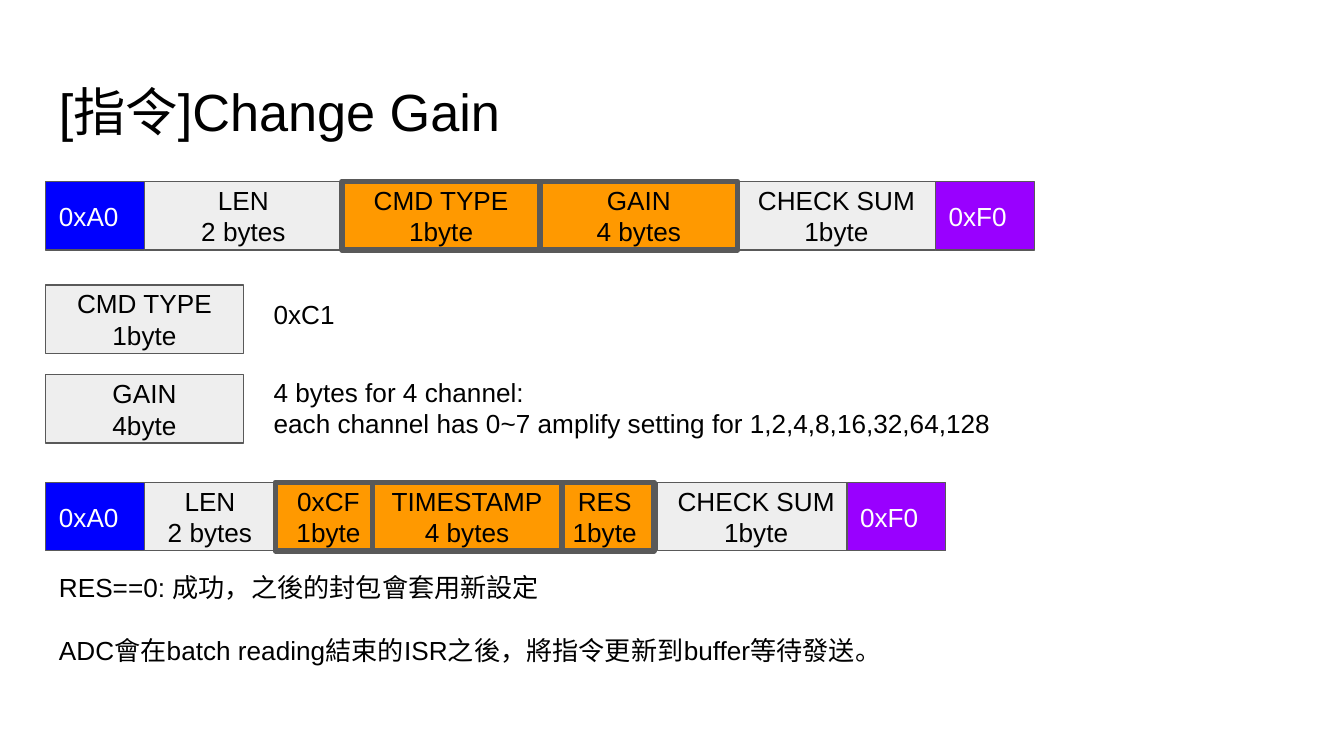
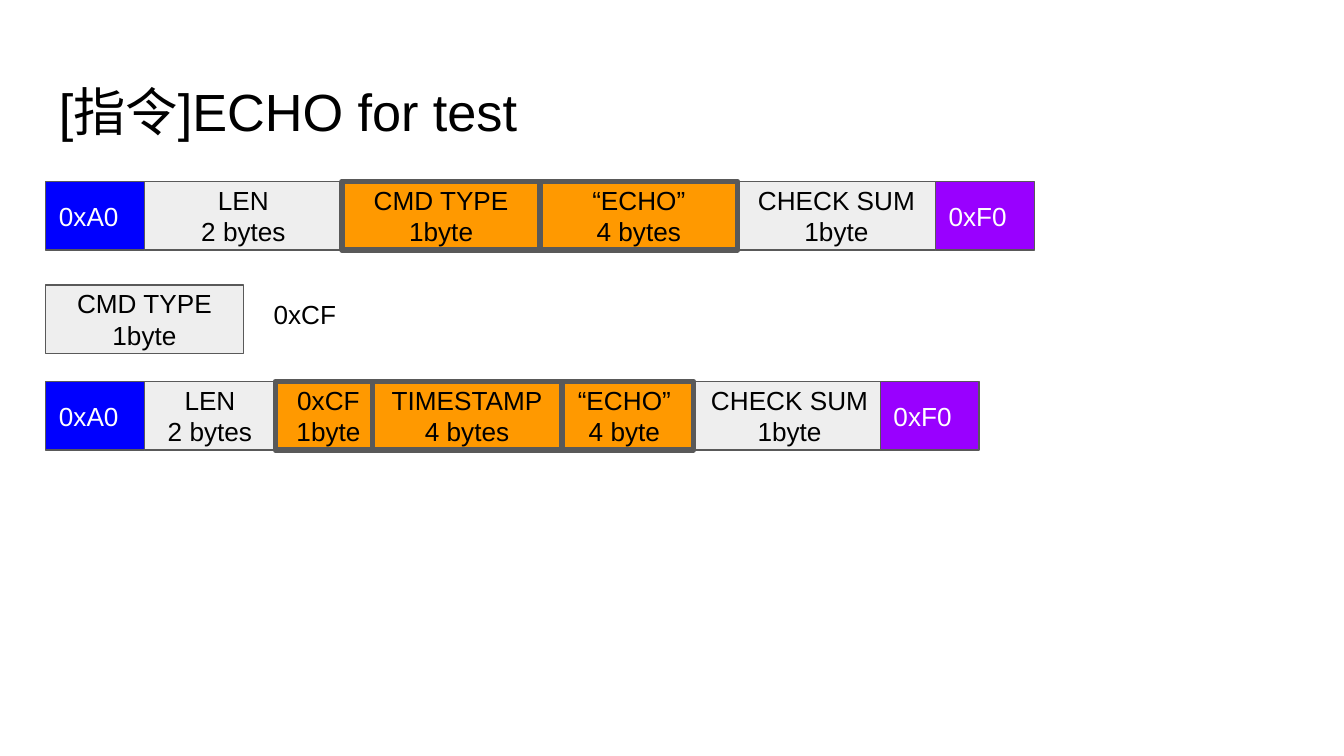
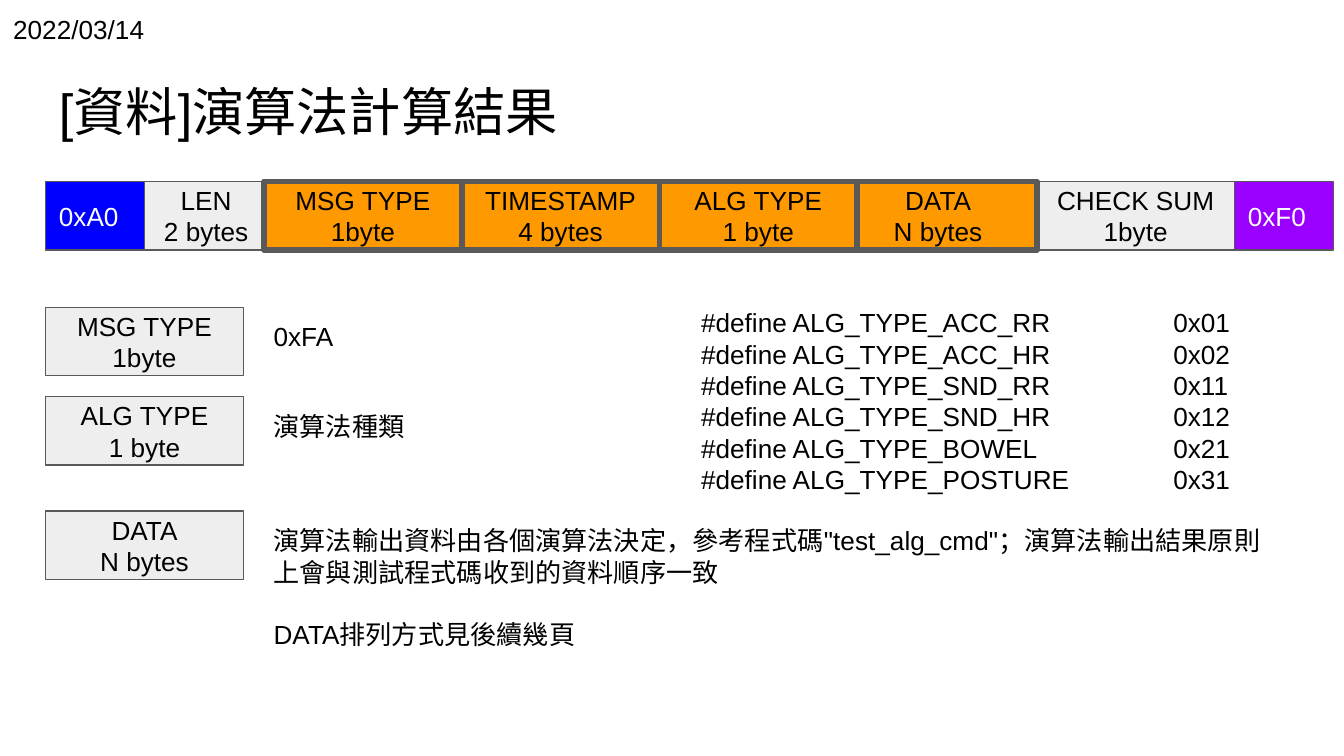
from typing import NamedTuple

from lxml import etree
from pptx import Presentation
from pptx.dml.color import RGBColor
from pptx.enum.shapes import MSO_SHAPE as SHAPE
from pptx.enum.text import MSO_ANCHOR as ANCHOR, PP_ALIGN as ALIGN
from pptx.oxml.ns import qn
from pptx.util import Pt

BLACK = RGBColor(0x00, 0x00, 0x00)
WHITE = RGBColor(0xFF, 0xFF, 0xFF)
GREY = RGBColor(0xEE, 0xEE, 0xEE)
EDGE = RGBColor(0x59, 0x59, 0x59)
BLUE = RGBColor(0x00, 0x00, 0xFF)
ORANGE = RGBColor(0xFF, 0x99, 0x00)
PURPLE = RGBColor(0x99, 0x00, 0xFF)

FONT = "Arial"
INSET = 7.2
LEFT = 24.5        # left edge of packets and legend boxes
NOTE_LEFT = 139.5  # left edge of legend notes
BOX_H = 36.7
WIDE = 105.9
NARROW = 53
LINE = 16.8        # height of one line of body text
PACKET_TOP = 97.2


class Field(NamedTuple):
    """One packet field; gap is its distance from the field before."""
    text: str
    width: float = WIDE
    fill: RGBColor = GREY
    gap: float = 0
    raised: bool = False  # drawn over the other payload fields


class Legend(NamedTuple):
    """A field box with its explanation to the right."""
    text: str
    note: str
    top: float
    note_top: float
    note_w: float
    note_h: float


def write(sp, text: str, *, size: float = 14, color: RGBColor = BLACK,
          align=ALIGN.LEFT, anchor=ANCHOR.TOP, para_gap: float = 0,
          tab: float = 0) -> None:
    """Fill a shape: newline starts a paragraph, vertical tab breaks a line."""
    tf = sp.text_frame
    tf.word_wrap = True
    tf.vertical_anchor = anchor
    tf.margin_left = tf.margin_right = Pt(INSET)
    tf.margin_top = tf.margin_bottom = Pt(INSET)
    for i, line in enumerate(text.split("\n")):
        p = tf.add_paragraph() if i else tf.paragraphs[0]
        p.alignment = align
        if i and para_gap:
            p.space_before = Pt(para_gap)
        if tab:
            tabs = etree.SubElement(p._p.get_or_add_pPr(), qn("a:tabLst"))
            etree.SubElement(tabs, qn("a:tab"), pos=str(Pt(tab)), algn="l")
        for j, part in enumerate(line.split("\v")):
            if j:
                p.add_line_break()
            r = p.add_run()
            r.text = part
            r.font.name, r.font.size = FONT, Pt(size)
            r.font.color.rgb = color


def add_text(s, text: str, x: float, y: float, w: float, h: float, **fmt) -> None:
    write(s.shapes.add_textbox(Pt(x), Pt(y), Pt(w), Pt(h)), text, **fmt)


def add_box(s, field: Field, x: float, y: float) -> None:
    sp = s.shapes.add_shape(SHAPE.RECTANGLE, Pt(x), Pt(y), Pt(field.width), Pt(BOX_H))
    sp.shadow.inherit = False
    sp.fill.solid()
    sp.fill.fore_color.rgb = field.fill
    sp.line.color.rgb = EDGE
    sp.line.width = Pt(3 if field.fill == ORANGE else 0.75)
    marker = field.fill in (BLUE, PURPLE)
    write(sp, field.text, color=WHITE if marker else BLACK,
          align=ALIGN.LEFT if marker else ALIGN.CENTER, anchor=ANCHOR.MIDDLE)


def add_packet(s, y: float, payload: list[Field], len_w: float = WIDE,
               sum_gap: float = 0, end_gap: float = 0) -> None:
    """Lay the payload between the start, length, checksum and end fields."""
    fields = [Field("0xA0", NARROW, BLUE), Field("LEN\v2 bytes", len_w), *payload,
              Field("CHECK SUM\v1byte", gap=sum_gap),
              Field("0xF0", NARROW, PURPLE, end_gap)]
    placed, x = [], LEFT
    for f in fields:
        x += f.gap
        placed.append((f, x))
        x += f.width
    # Payload fields lie over the frame, raised ones on top
    for f, left in sorted(placed, key=lambda item: (item[0].fill == ORANGE, item[0].raised)):
        add_box(s, f, left, y)


def add_legend(s, item: Legend) -> None:
    add_box(s, Field(item.text), LEFT, item.top)
    add_text(s, item.note, NOTE_LEFT, item.note_top, item.note_w, item.note_h,
             para_gap=LINE if "\n" in item.note and item.note_h > 60 else 0)


def add_slide(prs, title: str):
    s = prs.slides.add_slide(prs.slide_layouts[6])
    add_text(s, title, LEFT, 35, 671, 45, size=28)
    return s


def payload(*texts: str) -> list[Field]:
    return [Field(t, fill=ORANGE) for t in texts]


def reply(last: str, last_w: float) -> list[Field]:
    """Payload of an answer packet, ending in the given field."""
    return [Field("0xCF\v1byte", 57, ORANGE),
            Field("TIMESTAMP\v4 bytes", 101.5, ORANGE, -5, raised=True),
            Field(last, last_w, ORANGE, -3.5)]


def gain_slide(prs) -> None:
    s = add_slide(prs, "[指令]Change Gain")
    add_packet(s, PACKET_TOP, payload("CMD TYPE\v1byte", "GAIN\v4 bytes"))
    add_legend(s, Legend("CMD TYPE\v1byte", "0xC1", 152.6, 152.6, 57, 32))
    add_legend(s, Legend("GAIN\v4byte",
                         "4 bytes for 4 channel:\n"
                         "each channel has 0~7 amplify setting for 1,2,4,8,16,32,64,128",
                         200.7, 194.4, 458, 32))
    add_packet(s, 258.4, reply("RES\v1byte", 53), 70, 1.7, -4.4)
    add_text(s, "RES==0: 成功，之後的封包會套用新設定\n"
                "ADC會在batch reading結束的ISR之後，將指令更新到buffer等待發送。",
             LEFT, 298.8, 447, 90, para_gap=LINE)


def echo_slide(prs) -> None:
    s = add_slide(prs, "[指令]ECHO for test")
    add_packet(s, PACKET_TOP, payload("CMD TYPE\v1byte", "“ECHO”\v4 bytes"))
    add_legend(s, Legend("CMD TYPE\v1byte", "0xCF", 152.6, 152.6, 207, 53))
    add_packet(s, 204.4, reply("“ECHO”\v4 byte", 74), 70, -1.4, -4.4)


def result_slide(prs) -> None:
    s = add_slide(prs, "[資料]演算法計算結果")
    msg, stamp, alg, data = payload("MSG TYPE\v1byte", "TIMESTAMP\v4 bytes",
                                    "ALG TYPE\v1 byte", "DATA\vN bytes")
    add_packet(s, PACKET_TOP,
               [msg._replace(gap=-2), stamp, alg._replace(raised=True),
                data._replace(gap=-9.6)], 66)
    for item in (
        Legend(msg.text, "0xFA", 164.6, 164.6, 58, 30),
        Legend(alg.text, "演算法種類", 212.5, 212.5, 114, 30),
        Legend(data.text,
               "演算法輸出資料由各個演算法決定，參考程式碼\"test_alg_cmd\"；"
               "演算法輸出結果原則上會與測試程式碼收到的資料順序一致\n"
               "DATA排列方式見後續幾頁", 273.8, 273.8, 555, 70),
    ):
        add_legend(s, item)
    # Algorithm codes
    codes = {"ACC_RR": "0x01", "ACC_HR": "0x02", "SND_RR": "0x11",
             "SND_HR": "0x12", "BOWEL": "0x21", "POSTURE": "0x31"}
    add_text(s, "\n".join(f"#define ALG_TYPE_{k}\t{v}" for k, v in codes.items()),
             368.5, 157, 351.5, 116.6, tab=253)
    add_text(s, "2022/03/14", 0, 0, 487.5, 31.7)


def main() -> None:
    prs = Presentation()
    prs.slide_width, prs.slide_height = Pt(720), Pt(405)
    for build in (gain_slide, echo_slide, result_slide):
        build(prs)
    prs.save("out.pptx")


if __name__ == "__main__":
    main()
